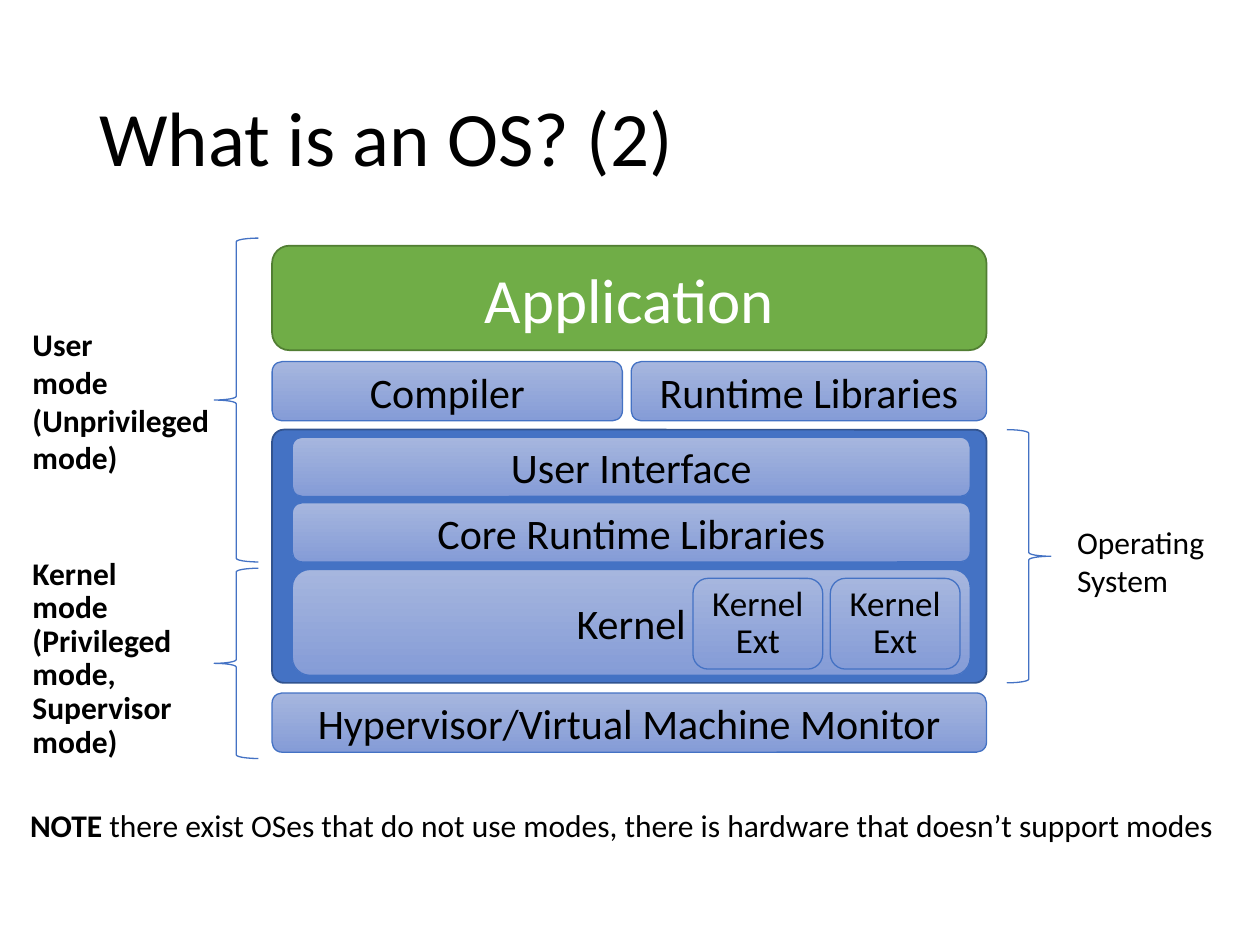
"""Builds a slide that shows the layers of an operating system."""
from pptx import Presentation
from pptx import util as u
from pptx.dml.color import RGBColor
from pptx.enum import shapes, text

FONT = "Calibri"
COLORS = {
    "black": "000000",
    "white": "FFFFFF",
    "blue": "4472C4",
    "navy": "31538F",
    "green": "70AD47",
    "olive": "517E33",
    "pale_top": "A6B6DE",
    "pale_bottom": "859CD7",
}
STACK_LEFT, STACK_WIDTH = 2.16, 5.67
INNER_LEFT, INNER_WIDTH = 2.32, 5.38
ROW_HEIGHT = 0.47
OS_TOP, OS_HEIGHT = 3.41, 2.01


def color(name):
    return RGBColor.from_string(COLORS[name])


def write(shape, paragraphs, size, shade="black", bold=False, align=text.PP_ALIGN.LEFT,
          spacing=1.0, anchor=text.MSO_ANCHOR.TOP, side=0.1):
    frame = shape.text_frame
    frame.word_wrap = True
    frame.vertical_anchor = anchor
    frame.margin_left = frame.margin_right = u.Inches(side)
    frame.text = "\n".join(paragraphs)
    for para in frame.paragraphs:
        para.alignment = align
        para.line_spacing = spacing
        for span in para.runs:
            style(span, size, shade, bold)


def style(span, size, shade="black", bold=False):
    span.font.name = FONT
    span.font.size = u.Pt(size)
    span.font.bold = bold
    span.font.color.rgb = color(shade)


def add_label(slide, place, paragraphs, size=18, **options):
    box = slide.shapes.add_textbox(*map(u.Inches, place))
    write(box, paragraphs, size, **options)
    return box


def add_outline(slide, kind, place, line, width):
    shape = slide.shapes.add_shape(kind, *map(u.Inches, place))
    shape.shadow.inherit = False
    shape.line.color.rgb = color(line)
    shape.line.width = u.Pt(width)
    return shape


def add_block(slide, place, fill, line):
    block = add_outline(slide, shapes.MSO_SHAPE.ROUNDED_RECTANGLE, place, line, 1)
    block.fill.solid()
    block.fill.fore_color.rgb = color(fill)
    return block


def add_layer(slide, place, label, size=24, **options):
    layer = add_outline(slide, shapes.MSO_SHAPE.ROUNDED_RECTANGLE, place, "blue", 0.75)
    layer.fill.gradient()
    layer.fill.gradient_angle = 270
    for stop, name in zip(layer.fill.gradient_stops, ("pale_top", "pale_bottom")):
        stop.color.rgb = color(name)
    write(layer, [label], size, align=text.PP_ALIGN.CENTER,
          anchor=text.MSO_ANCHOR.MIDDLE, **options)


def add_brace(slide, kind, left, top, height):
    brace = add_outline(slide, kind, (left, top, 0.35, height), "blue", 0.75)
    brace.fill.background()


def add_stack(slide):
    system = add_block(slide, (STACK_LEFT, OS_TOP, STACK_WIDTH, OS_HEIGHT), "blue", "navy")
    system.adjustments[0] = 0.047
    add_layer(slide, (INNER_LEFT, 4.52, INNER_WIDTH, 0.84), "Kernel")
    for left in (5.5, 6.59):
        add_layer(slide, (left, 4.59, 1.03, 0.72), "Kernel Ext", 20, spacing=0.89, side=0)
    for top, label in ((3.47, "User Interface"), (3.99, "Core Runtime Libraries")):
        add_layer(slide, (INNER_LEFT, top, INNER_WIDTH, ROW_HEIGHT), label)
    application = add_block(slide, (STACK_LEFT, 1.95, STACK_WIDTH, 0.83), "green", "olive")
    write(application, ["Application"], 36, "white", align=text.PP_ALIGN.CENTER,
          anchor=text.MSO_ANCHOR.MIDDLE)
    for left, top, width, label in (
        (STACK_LEFT, 2.87, 2.78, "Compiler"),
        (5.01, 2.87, 2.82, "Runtime Libraries"),
        (STACK_LEFT, 5.5, STACK_WIDTH, "Hypervisor/Virtual Machine Monitor"),
    ):
        add_layer(slide, (left, top, width, ROW_HEIGHT), label)


def add_modes(slide):
    add_brace(slide, shapes.MSO_SHAPE.RIGHT_BRACE, 7.99, OS_TOP, OS_HEIGHT)
    add_label(slide, (8.45, 4.1, 1.27, 0.71), ["Operating System"])
    add_brace(slide, shapes.MSO_SHAPE.LEFT_BRACE, 1.7, 1.89, 2.57)
    add_label(slide, (0.16, 2.53, 1.66, 1.31),
              ["User", "mode", "(Unprivileged mode)"], bold=True)
    add_brace(slide, shapes.MSO_SHAPE.LEFT_BRACE, 1.7, 4.51, 1.51)
    add_label(slide, (0.16, 4.38, 1.66, 1.72),
              ["Kernel", "mode", "(Privileged mode, Supervisor mode)"],
              bold=True, spacing=0.89)


def add_note(slide):
    note = add_label(slide, (0.14, 6.35, 9.7, 0.4), ["NOTE"], bold=True)
    span = note.text_frame.paragraphs[0].add_run()
    span.text = " there exist OSes that do not use modes, there is hardware that doesn’t support modes"
    style(span, 18)


def main():
    deck = Presentation()
    deck.slide_width, deck.slide_height = u.Inches(10), u.Inches(7.5)
    slide = deck.slides.add_slide(deck.slide_layouts[6])
    add_label(slide, (0.69, 0.4, 8.62, 1.45), ["What is an OS? (2)"], 44,
              spacing=0.9, anchor=text.MSO_ANCHOR.MIDDLE)
    add_stack(slide)
    add_modes(slide)
    add_note(slide)
    deck.save("out.pptx")


if __name__ == "__main__":
    main()
